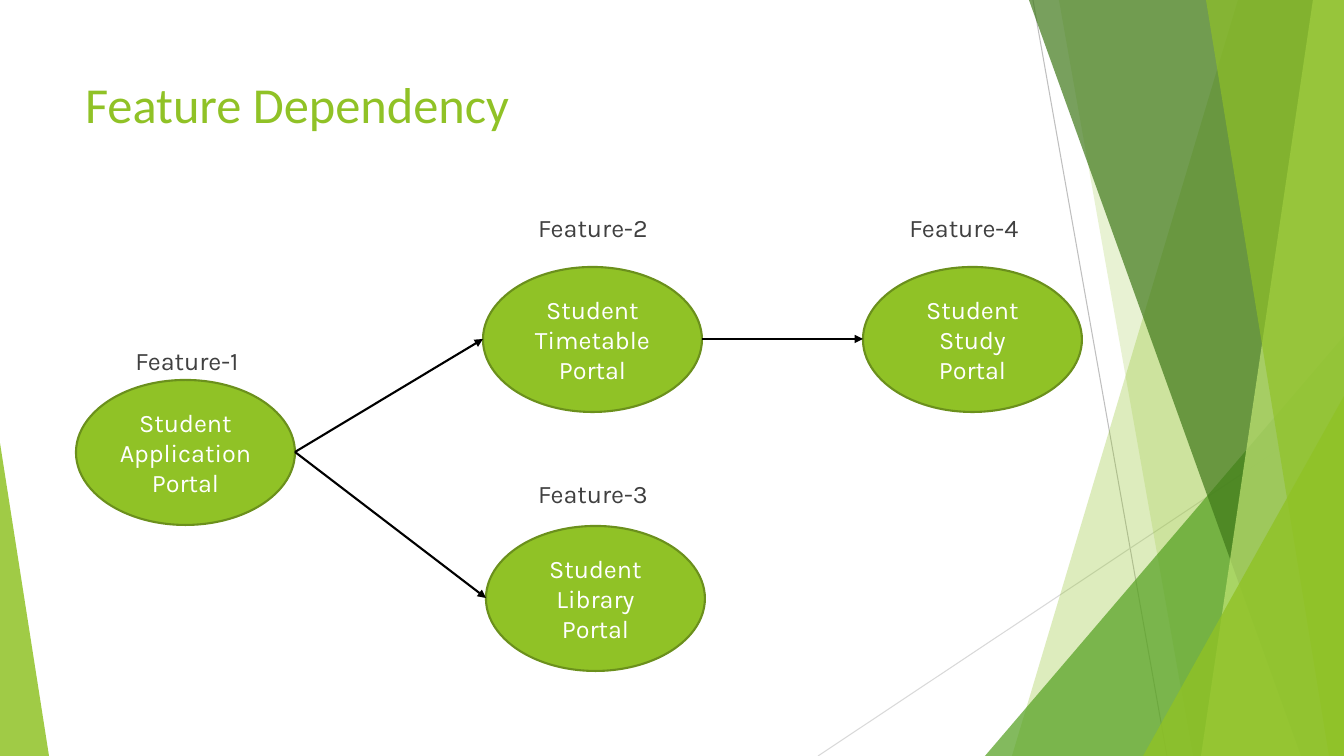
from lxml.etree import SubElement
from pptx import Presentation
from pptx.dml.color import RGBColor
from pptx.enum.shapes import MSO_CONNECTOR as CONNECTOR, MSO_SHAPE as SHAPE
from pptx.enum.text import MSO_ANCHOR as ANCHOR, PP_ALIGN as ALIGN
from pptx.oxml.ns import qn
from pptx.util import Pt

PX = 914400 / 100.8
SLIDE_W, SLIDE_H = 1344, 756
NODE_W, NODE_H = 219, 145
LABEL_W, LABEL_H = 160, 30

LIME = RGBColor(0x90, 0xC2, 0x26)
PALE_LIME = RGBColor(0xC0, 0xE4, 0x74)
LEAF = RGBColor(0x54, 0xA0, 0x21)
FOREST = RGBColor(0x3F, 0x78, 0x19)
OLIVE = RGBColor(0x6B, 0x90, 0x1C)
GREY = RGBColor(0xBF, 0xBF, 0xBF)
LIGHT_GREY = RGBColor(0xD9, 0xD9, 0xD9)
CHARCOAL = RGBColor(0x40, 0x40, 0x40)
BLACK = RGBColor(0, 0, 0)
WHITE = RGBColor(0xFF, 0xFF, 0xFF)

# Text, left and top of the node, then the centre of its label
FEATURES = {
    "Feature-1": ("Student Application", 76, 380, 187, 360),
    "Feature-2": ("Student Timetable", 483, 267, 593, 227),
    "Feature-3": ("Student Library", 486, 526, 593, 493),
    "Feature-4": ("Student Study", 863, 267, 964, 227),
}
DEPENDENCIES = [("Feature-1", "Feature-2"), ("Feature-1", "Feature-3"),
                ("Feature-2", "Feature-4")]


def emu(*pixels):
    """Turn pixel lengths into EMU."""
    return [round(pixel * PX) for pixel in pixels]


def style_text(paragraph, font_name, size, color, align):
    """Set the font and alignment of one paragraph."""
    paragraph.alignment = align
    font = paragraph.font
    font.name, font.size, font.color.rgb = font_name, Pt(size), color


def fill_facet(facet, color, opacity):
    """Give a facet a translucent fill without outline or shadow."""
    facet.shadow.inherit = False
    facet.line.fill.background()
    facet.fill.solid()
    facet.fill.fore_color.rgb = color
    tint = facet.fill._xPr.find(qn("a:solidFill"))[0]
    SubElement(tint, qn("a:alpha"), val=str(opacity * 1000))


def add_line(slide, start, end, color, width, arrow=False):
    """Draw a straight line, with an arrowhead at its end if asked."""
    line = slide.shapes.add_connector(CONNECTOR.STRAIGHT, *emu(*start, *end))
    line.line.color.rgb = color
    line.line.width = Pt(width)
    if arrow:
        SubElement(line.line._get_or_add_ln(), qn("a:tailEnd"), type="triangle")
    SubElement(line._element.spPr, qn("a:effectLst"))


def add_band(slide, box, top_left, bottom_left, color, opacity):
    """Draw a full-height band that reaches the right edge of the box."""
    left, top, width, height = box
    right, bottom = left + width, top + height
    builder = slide.shapes.build_freeform(left + top_left, top, scale=PX)
    builder.add_line_segments([(right, top), (right, bottom),
                               (left + bottom_left, bottom)])
    fill_facet(builder.convert_to_shape(), color, opacity)


def add_wedge(slide, box, apex, color, opacity):
    """Draw a right triangle with its apex at 0 (left) or 1 (right)."""
    wedge = slide.shapes.add_shape(SHAPE.ISOSCELES_TRIANGLE, *emu(*box))
    wedge.adjustments[0] = apex
    fill_facet(wedge, color, opacity)


def add_backdrop(slide, box):
    """Layer the green facets on the right of the box and in its left corner."""
    left, top, width, height = box
    right, bottom = left + width, top + height
    add_line(slide, (left + 1033, top), (left + 1167, bottom), GREY, 0.75)
    add_line(slide, (right, top + 406), (left + 818, bottom), LIGHT_GREY, 0.75)
    add_band(slide, box, 1238, 1012, LIME, 30)
    add_band(slide, box, 1059, 1193, LIME, 20)
    add_wedge(slide, (right - 359, bottom - 420, 359, 420), 1, LEAF, 72)
    add_band(slide, box, 1029, 1301, FOREST, 70)
    add_band(slide, box, 1313, 1201, PALE_LIME, 70)
    add_band(slide, box, 1206, 1329, LIME, 65)
    add_wedge(slide, (right - 201, bottom - 360, 201, 360), 1, LIME, 80)
    add_wedge(slide, (left, bottom - 313, 49, 313), 0, LIME, 85)


def add_title(slide, box, text):
    """Place and format the title placeholder."""
    title = slide.shapes.title
    title.left, title.top, title.width, title.height = emu(*box)
    title.text_frame.text = text
    title.text_frame.vertical_anchor = ANCHOR.TOP
    style_text(title.text_frame.paragraphs[0], "Calibri", 36, LIME, ALIGN.LEFT)


def add_node(slide, box, portal):
    """Draw one portal as a green ellipse."""
    node = slide.shapes.add_shape(SHAPE.FLOWCHART_CONNECTOR, *emu(*box))
    node.shadow.inherit = False
    node.fill.solid()
    node.fill.fore_color.rgb = LIME
    node.line.color.rgb = OLIVE
    node.line.width = Pt(1.5)
    frame = node.text_frame
    frame.word_wrap = True
    frame.vertical_anchor = ANCHOR.MIDDLE
    frame.text = f"{portal}\nPortal"
    for paragraph in frame.paragraphs:
        style_text(paragraph, "Karla", 18, WHITE, ALIGN.CENTER)


def add_label(slide, box, feature):
    """Write a feature's name centred in the box."""
    frame = slide.shapes.add_textbox(*emu(*box)).text_frame
    frame.word_wrap = True
    frame.margin_top = frame.margin_bottom = 0
    frame.vertical_anchor = ANCHOR.MIDDLE
    frame.text = feature
    style_text(frame.paragraphs[0], "Karla", 18, CHARCOAL, ALIGN.CENTER)


def add_dependency_graph(slide, box):
    """Draw the features and the arrows between them."""
    left, top = box[:2]
    sources, targets = {}, {}
    for feature, (portal, x, y, label_x, label_y) in FEATURES.items():
        x, y = left + x, top + y
        add_node(slide, (x, y, NODE_W, NODE_H), portal)
        add_label(slide, (left + label_x - LABEL_W // 2,
                          top + label_y - LABEL_H // 2, LABEL_W, LABEL_H), feature)
        middle = y + NODE_H // 2
        sources[feature], targets[feature] = (x + NODE_W, middle), (x, middle)
    for source, target in DEPENDENCIES:
        add_line(slide, sources[source], targets[target], BLACK, 1.5, arrow=True)


def main():
    """Build and save the slide."""
    deck = Presentation()
    deck.slide_width, deck.slide_height = emu(SLIDE_W, SLIDE_H)
    slide = deck.slides.add_slide(deck.slide_layouts[5])
    page = (0, 0, SLIDE_W, SLIDE_H)
    add_backdrop(slide, page)
    add_title(slide, (75, 68, 948, 98), "Feature Dependency")
    add_dependency_graph(slide, page)
    deck.save("out.pptx")


main()
